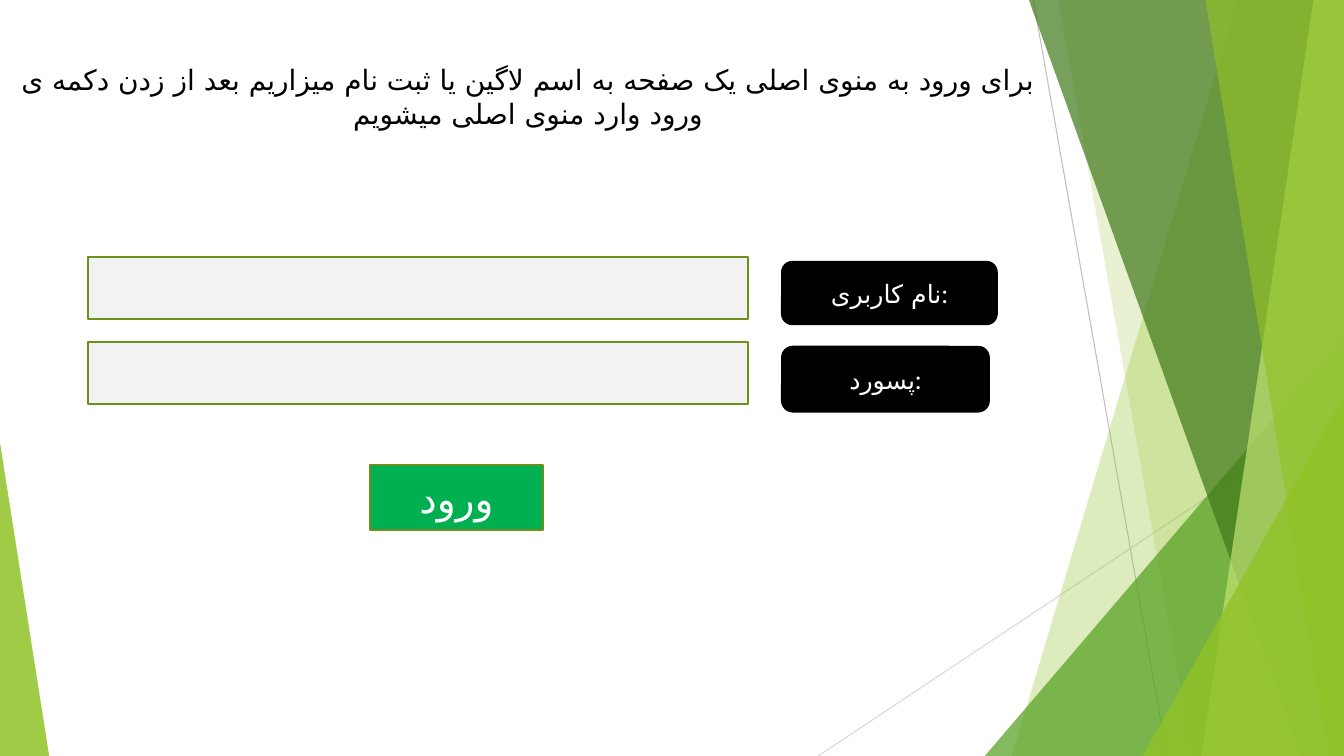
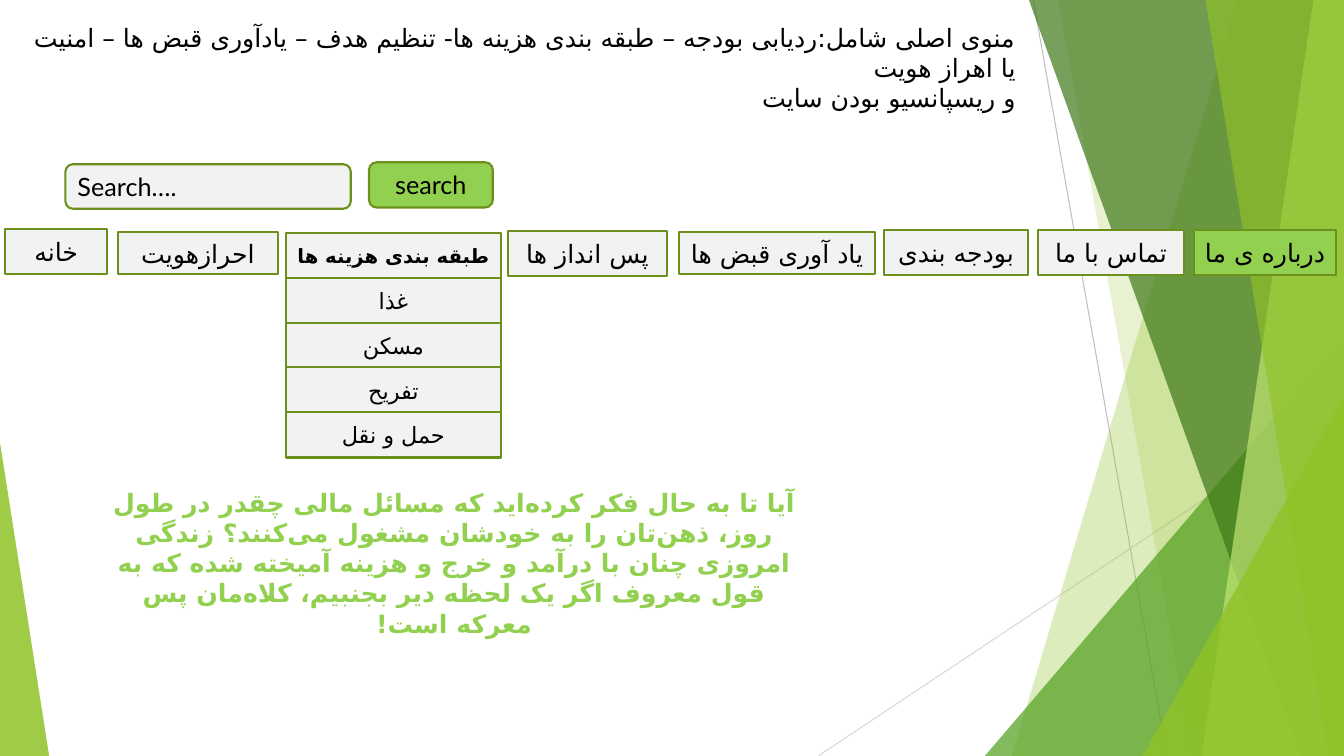
import pptx
import pptx.dml.color
import pptx.enum.shapes
import pptx.enum.text
import pptx.oxml
import pptx.oxml.ns
import pptx.util

Cm = pptx.util.Cm
SHAPE = pptx.enum.shapes.MSO_SHAPE
ALIGN = pptx.enum.text.PP_ALIGN
ANCHOR = pptx.enum.text.MSO_ANCHOR

WIDTH, HEIGHT = 33.87, 19.05
BLACK, WHITE, GREY = "000000", "FFFFFF", "F2F2F2"
LEAF, BUTTON, EDGE, LIME = "90C226", "00B050", "6B901C", "92D050"
TITLE_FONT, BODY_FONT, QUOTE_FONT = "Noto Sans CJK JP", "Lato", "Roboto"
PERSIAN_FONT = "DejaVu Sans"


def colour(value):
    return pptx.dml.color.RGBColor.from_string(value)


def fill_shape(shape, value, opacity=100):
    shape.shadow.inherit = False
    shape.fill.solid()
    shape.fill.fore_color.rgb = colour(value)
    if opacity < 100:
        tint = shape.fill._xPr.find(".//" + pptx.oxml.ns.qn("a:srgbClr"))
        alpha = pptx.oxml.parse_xml(
            f'<a:alpha {pptx.oxml.ns.nsdecls("a")} val="{opacity * 1000}"/>')
        tint.append(alpha)


def write_text(frame, text, size=18, font=BODY_FONT, ink=BLACK, bold=False,
               align=ALIGN.CENTER, anchor=ANCHOR.MIDDLE, rtl=False):
    frame.word_wrap = True
    frame.vertical_anchor = anchor
    for index, line in enumerate(text.split("\n")):
        para = frame.add_paragraph() if index else frame.paragraphs[0]
        para.alignment = align
        if rtl:
            para._p.get_or_add_pPr().set("rtl", "1")
        span = para.add_run()
        span.text = line
        span.font.size = pptx.util.Pt(size)
        span.font.name = font
        span.font.bold = bold
        span.font.color.rgb = colour(ink)
        span._r.get_or_add_rPr().append(pptx.oxml.parse_xml(
            f'<a:cs {pptx.oxml.ns.nsdecls("a")} typeface="{PERSIAN_FONT}"/>'))


def add_text(page, text, left, top, width, height, inset=0.13, **style):
    box = page.shapes.add_textbox(Cm(left), Cm(top), Cm(width), Cm(height))
    box.text_frame.margin_top = Cm(inset)
    write_text(box.text_frame, text, anchor=ANCHOR.TOP, **style)


def add_panel(page, left, top, width, height, text="", kind=SHAPE.RECTANGLE,
              fill=GREY, edge=EDGE, **style):
    panel = page.shapes.add_shape(kind, Cm(left), Cm(top), Cm(width), Cm(height))
    fill_shape(panel, fill)
    panel.line.color.rgb = colour(edge)
    panel.line.width = pptx.util.Pt(1.5)
    if text:
        write_text(panel.text_frame, text, **style)


def add_hairline(page, start, end, value):
    line = page.shapes.add_connector(
        pptx.enum.shapes.MSO_CONNECTOR.STRAIGHT,
        Cm(start[0]), Cm(start[1]), Cm(end[0]), Cm(end[1]))
    line.line.color.rgb = colour(value)
    line.line.width = pptx.util.Pt(0.75)
    line._element.spPr.append(pptx.oxml.parse_xml(
        f'<a:effectLst {pptx.oxml.ns.nsdecls("a")}/>'))


def add_band(page, top_left, bottom_left, value, opacity):
    builder = page.shapes.build_freeform(Cm(top_left), 0, scale=1.0)
    corners = [(WIDTH, 0), (WIDTH, HEIGHT), (bottom_left, HEIGHT)]
    builder.add_line_segments([(Cm(x), Cm(y)) for x, y in corners], close=True)
    band = builder.convert_to_shape()
    fill_shape(band, value, opacity)
    band.line.fill.background()


def add_corner(page, left, top, width, peak, value, opacity):
    corner = page.shapes.add_shape(
        SHAPE.ISOSCELES_TRIANGLE, Cm(left), Cm(top), Cm(width), Cm(HEIGHT - top))
    corner.adjustments[0] = peak
    fill_shape(corner, value, opacity)
    corner.line.fill.background()


def add_page(deck):
    page = deck.slides.add_slide(deck.slide_layouts[6])
    add_hairline(page, (26.04, 0), (29.41, HEIGHT), "BFBFBF")
    add_hairline(page, (WIDTH, 10.24), (20.62, HEIGHT), "D9D9D9")
    add_band(page, 31.19, 25.5, LEAF, 30)
    add_band(page, 26.67, 30.05, LEAF, 20)
    add_corner(page, 24.82, 8.46, 9.05, 1, "54A021", 72)
    add_band(page, 25.93, 32.79, "3F7819", 70)
    add_band(page, 33.1, 30.28, "C0E474", 70)
    add_band(page, 30.38, 33.48, LEAF, 65)
    add_corner(page, 28.8, 9.98, 5.07, 1, LEAF, 80)
    add_corner(page, 0, 11.15, 1.24, 0, LEAF, 85)
    return page


def build_login(deck):
    page = add_page(deck)
    add_text(page, "برای ورود به منوی اصلی یک صفحه به اسم لاگین یا ثبت نام "
             "میزاریم بعد از زدن دکمه ی ورود وارد منوی اصلی میشویم",
             0, 0.61, 26.62, 3.61, inset=0.97, size=20, font=TITLE_FONT)
    for top in (6.48, 8.61):
        add_panel(page, 2.21, top, 16.64, 1.57)
    add_panel(page, 9.32, 11.71, 4.37, 1.65, "ورود", fill=BUTTON, size=28, ink=WHITE)
    labels = [("نام کاربری:", 6.6, 5.41, 1.57), ("پسورد:", 8.74, 5.21, 1.63)]
    for text, top, width, height in labels:
        add_panel(page, 19.71, top, width, height, text, SHAPE.ROUNDED_RECTANGLE,
                  fill=BLACK, edge=BLACK, ink=WHITE)


def build_menu(deck):
    page = add_page(deck)
    add_text(page, "منوی اصلی شامل:ردیابی بودجه – طبقه بندی هزینه ها- تنظیم هدف – "
             "یادآوری قبض ها – امنیت یا اهراز هویت\nو ریسپانسیو بودن سایت",
             0.25, 0.43, 25.6, 2.57, font=TITLE_FONT, align=ALIGN.RIGHT)
    add_panel(page, 9.3, 4.09, 3.12, 1.14, "search", SHAPE.ROUNDED_RECTANGLE, fill=LIME)
    add_panel(page, 1.65, 4.14, 7.19, 1.12, "Search….", SHAPE.ROUNDED_RECTANGLE,
              align=ALIGN.LEFT)

    tabs = [
        ("خانه", 0.13, 5.77, 2.57, 1.14, GREY),
        ("احرازهویت", 2.97, 5.84, 4.04, 1.07, GREY),
        ("پس انداز ها", 12.8, 5.82, 4.01, 1.14, GREY),
        ("یاد آوری قبض ها", 17.12, 5.84, 4.93, 1.07, GREY),
        ("بودجه بندی", 22.28, 5.79, 3.63, 1.14, GREY),
        ("تماس با ما", 26.16, 5.79, 3.68, 1.14, GREY),
        ("درباره ی ما", 30.1, 5.79, 3.56, 1.14, LIME),
    ]
    for text, left, top, width, height, fill in tabs:
        add_panel(page, left, top, width, height, text, fill=fill)

    categories = ["طبقه بندی هزینه ها", "غذا", "مسکن", "تفریح", "حمل و نقل"]
    for row, text in enumerate(categories):
        heading = row == 0
        add_panel(page, 7.21, 5.87 + 1.13 * row, 5.41, 1.14, text,
                  size=14 if heading else 16, bold=heading)

    add_text(page, "آیا تا به حال فکر کرده\u200cاید که مسائل مالی چقدر در طول روز، "
             "ذهن\u200cتان را به خودشان مشغول می\u200cکنند؟ زندگی امروزی چنان با درآمد "
             "و خرج و هزینه آمیخته شده که به قول معروف اگر یک لحظه دیر بجنبیم، "
             "کلاه\u200cمان پس معرکه است!",
             2.46, 12.14, 17.96, 3.33, font=QUOTE_FONT, ink=LIME, bold=True, rtl=True)


def main():
    deck = pptx.Presentation()
    deck.slide_width, deck.slide_height = Cm(WIDTH), Cm(HEIGHT)
    build_login(deck)
    build_menu(deck)
    deck.save("out.pptx")


main()
